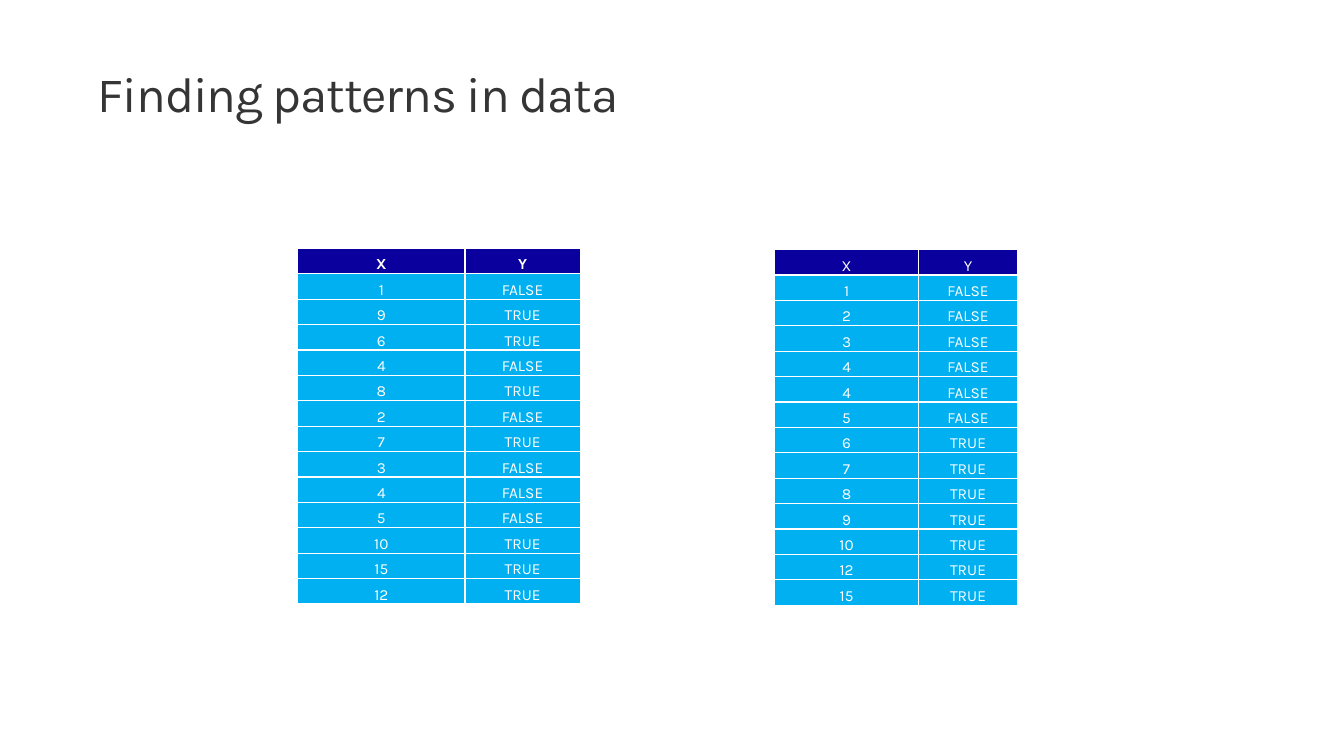
from lxml.etree import SubElement
from pptx import Presentation
from pptx.dml.color import RGBColor
from pptx.enum.text import MSO_ANCHOR, PP_ALIGN
from pptx.oxml.ns import qn
from pptx.util import Cm, Pt

TITLE = "Finding patterns in data"
HEADINGS = ("X", "Y")
OBSERVATIONS = [1, 9, 6, 4, 8, 2, 7, 3, 4, 5, 10, 15, 12]
LARGEST_FALSE = 5
TABLES = [
    {"values": OBSERVATIONS, "left": 7.5, "top": 6.26,
     "columns": (4.22, 2.9), "bold_header": True},
    {"values": sorted(OBSERVATIONS), "left": 19.52, "top": 6.29,
     "columns": (3.63, 2.49), "bold_header": False},
]
COLORS = {"title": "353535", "header": "09009E", "body": "00B0F0", "white": "FFFFFF"}
FONT = "Karla"
ROW_HEIGHT = 0.64


def add_run(paragraph, text, size, color, bold=False):
    run = paragraph.add_run()
    run.text = text
    run.font.name = FONT
    run.font.size = Pt(size)
    run.font.bold = bold
    run.font.color.rgb = RGBColor.from_string(COLORS[color])
    return run


def add_borders(cell):
    properties = cell._tc.get_or_add_tcPr()
    for side in ("lnL", "lnR", "lnT", "lnB"):
        border = SubElement(properties, qn(f"a:{side}"), w=str(Pt(1)))
        fill = SubElement(border, qn("a:solidFill"))
        SubElement(fill, qn("a:srgbClr"), val=COLORS["white"])


def fill_cell(cell, text, color, bold):
    add_borders(cell)
    cell.fill.solid()
    cell.fill.fore_color.rgb = RGBColor.from_string(COLORS[color])
    cell.vertical_anchor = MSO_ANCHOR.BOTTOM
    cell.margin_left = cell.margin_right = cell.margin_top = Cm(0.02)
    cell.margin_bottom = 0
    paragraph = cell.text_frame.paragraphs[0]
    paragraph.alignment = PP_ALIGN.CENTER
    add_run(paragraph, text, 11, "white", bold)


def add_data_table(slide, values, left, top, columns, bold_header):
    rows = [HEADINGS] + [(str(x), str(x > LARGEST_FALSE).upper()) for x in values]
    table = slide.shapes.add_table(
        len(rows), len(columns), Cm(left), Cm(top),
        Cm(sum(columns)), Cm(ROW_HEIGHT * len(rows))).table
    for column, width in zip(table.columns, columns):
        column.width = Cm(width)
    for r, row in enumerate(rows):
        table.rows[r].height = Cm(ROW_HEIGHT)
        for c, text in enumerate(row):
            fill_cell(table.cell(r, c), text, "body" if r else "header",
                      bold_header and r == 0)


def add_title(slide):
    frame = slide.shapes.add_textbox(Cm(2.06), Cm(1.5), Cm(21.9), Cm(1.8)).text_frame
    frame.word_wrap = True
    frame.margin_left = frame.margin_right = Cm(0.41)
    frame.margin_top = frame.margin_bottom = Cm(0.25)
    paragraph = frame.paragraphs[0]
    paragraph.line_spacing = 0.9
    title_run = add_run(paragraph, TITLE, 35.3, "title")
    title_run.font._element.set("spc", "-80")


def main():
    deck = Presentation()
    deck.slide_width, deck.slide_height = Cm(33.87), Cm(19.05)
    slide = deck.slides.add_slide(deck.slide_layouts[6])
    add_title(slide)
    for data in TABLES:
        add_data_table(slide, **data)
    deck.save("out.pptx")


if __name__ == "__main__":
    main()
